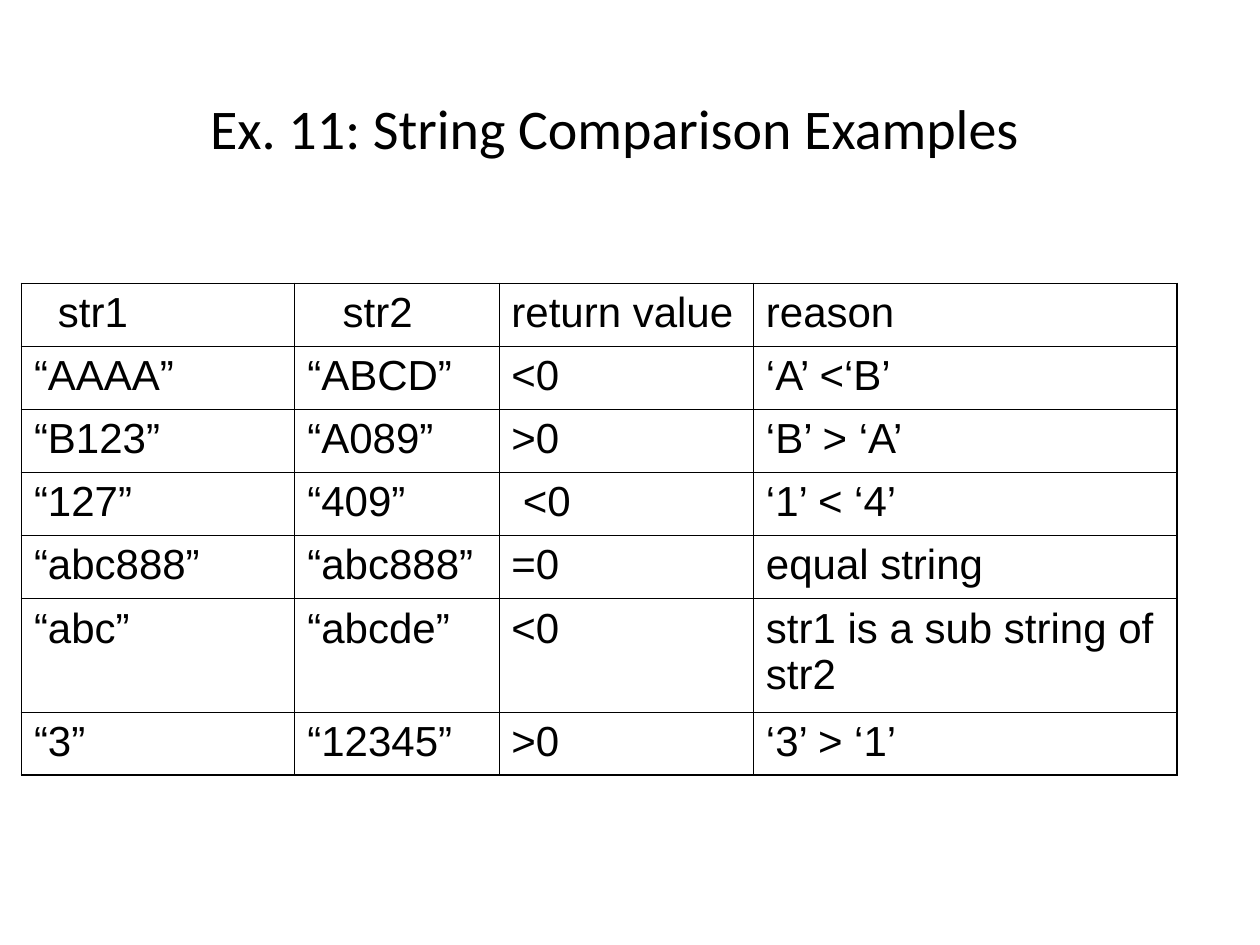
"""Build a slide with a table of string comparison examples."""
import pptx
import pptx.dml.color
import pptx.enum.text
import pptx.util
from lxml import etree
from pptx.oxml.ns import qn

Inches = pptx.util.Inches
Pt = pptx.util.Pt

COLORS = {"text": "000000", "border": "000000"}
TITLE_FONT = {"name": "Calibri", "size": Pt(32), "bold": False}
CELL_FONT = {"name": "Arial", "size": Pt(24), "bold": False}
MARGINS = {
    "margin_left": Inches(0.1),
    "margin_right": Inches(0.1),
    "margin_top": Inches(0.05),
    "margin_bottom": Inches(0.05),
}
OUTER, INNER = Pt(1.08), Pt(0.45)

COL_WIDTHS = [2.17, 1.62, 2.02, 3.36]
ROW_HEIGHTS = [0.5, 0.5, 0.5, 0.5, 0.5, 0.9, 0.5]
ROWS = [
    ["str1", "str2", "return value", "reason"],
    ["“AAAA”", "“ABCD”", "<0", "‘A’ <‘B’"],
    ["“B123”", "“A089”", ">0", "‘B’ > ‘A’"],
    ["“127”", "“409”", "<0", "‘1’ < ‘4’"],
    ["“abc888”", "“abc888”", "=0", "equal string"],
    ["“abc”", "“abcde”", "<0", "str1 is a sub string of str2"],
    ["“3”", "“12345”", ">0", "‘3’ > ‘1’"],
]
INDENTS = {(0, 0): 0.19, (0, 1): 0.28, (3, 2): 0.09}


def set_attributes(obj, values):
    for name, value in values.items():
        setattr(obj, name, value)


def write_text(tf, text, font):
    p = tf.paragraphs[0]
    r = p.add_run()
    r.text = text
    set_attributes(r.font, font)
    r.font.color.rgb = pptx.dml.color.RGBColor.from_string(COLORS["text"])
    return p


def add_title(s, text):
    sp = s.shapes.add_textbox(Inches(0.67), Inches(0.67), Inches(8.42), Inches(0.67))
    tf = sp.text_frame
    set_attributes(tf, MARGINS)
    tf.word_wrap = True
    tf.vertical_anchor = pptx.enum.text.MSO_ANCHOR.MIDDLE
    p = write_text(tf, text, TITLE_FONT)
    p.alignment = pptx.enum.text.PP_ALIGN.CENTER


def add_border(cell, tag, width):
    tcPr = cell._tc.get_or_add_tcPr()
    ln = etree.SubElement(tcPr, qn(tag), w=str(int(width)))
    fill = etree.SubElement(ln, qn("a:solidFill"))
    etree.SubElement(fill, qn("a:srgbClr"), val=COLORS["border"])


def add_cell(cell, text, edges, indent):
    set_attributes(cell, MARGINS)
    p = write_text(cell.text_frame, text, CELL_FONT)
    if indent:
        p._p.get_or_add_pPr().set("marL", str(int(Inches(indent))))
    for tag, is_outer in edges.items():
        add_border(cell, tag, OUTER if is_outer else INNER)
    cell.fill.background()


def add_comparison_table(s):
    frame = s.shapes.add_table(
        len(ROWS), len(COL_WIDTHS), Inches(0.17), Inches(2.25),
        Inches(sum(COL_WIDTHS)), Inches(sum(ROW_HEIGHTS)))
    table = frame.table
    set_attributes(table, {"first_row": False, "horz_banding": False})
    for column, width in zip(table.columns, COL_WIDTHS):
        column.width = Inches(width)
    for row, height in zip(table.rows, ROW_HEIGHTS):
        row.height = Inches(height)
    for i, texts in enumerate(ROWS):
        for j, text in enumerate(texts):
            edges = {
                "a:lnL": j == 0,
                "a:lnR": j == len(COL_WIDTHS) - 1,
                "a:lnT": i == 0,
                "a:lnB": i == len(ROWS) - 1,
            }
            add_cell(table.cell(i, j), text, edges, INDENTS.get((i, j)))


def main():
    prs = pptx.Presentation()
    prs.slide_width, prs.slide_height = Inches(10), Inches(7.5)
    s = prs.slides.add_slide(prs.slide_layouts[6])
    add_title(s, "Ex. 11: String Comparison Examples")
    add_comparison_table(s)
    prs.save("out.pptx")


if __name__ == "__main__":
    main()
